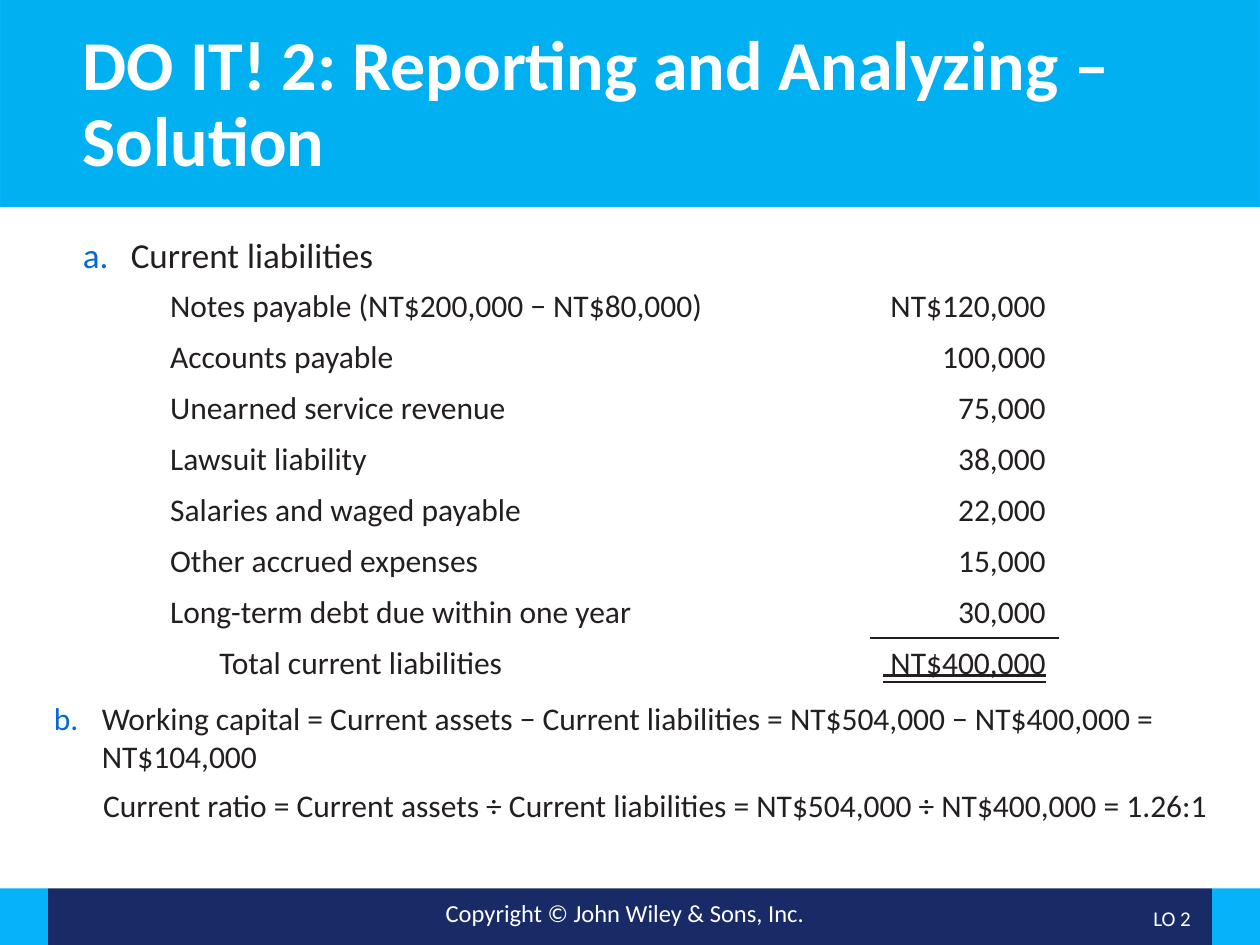
from dataclasses import dataclass
from lxml.etree import SubElement as Sub
from pptx import Presentation
from pptx.dml.color import RGBColor as Rgb
from pptx.enum.shapes import MSO_SHAPE as Shape
from pptx.enum.text import MSO_ANCHOR as Anchor, MSO_UNDERLINE as Under, PP_ALIGN as Align
from pptx.oxml import parse_xml
from pptx.oxml.ns import nsdecls, qn
from pptx.util import Inches, Pt


@dataclass(frozen=True)
class Theme:
    font: str = "Calibri"
    navy: str = "192B67"
    sky: str = "06B2FA"
    head: str = "00B0F0"
    ink: str = "231F20"
    mark: str = "0469D8"
    white: str = "FFFFFF"
    title: int = 40
    lead: int = 20
    body: int = 18
    foot: int = 14
    tag: int = 12


T = Theme()

TITLE = "DO IT! 2: Reporting and Analyzing – Solution"
LEAD = "Current liabilities"
ROWS = [
    ("Notes payable (NT$200,000 − NT$80,000)", "NT$120,000"),
    ("Accounts payable", "100,000"),
    ("Unearned service revenue", "75,000"),
    ("Lawsuit liability", "38,000"),
    ("Salaries and waged payable", "22,000"),
    ("Other accrued expenses", "15,000"),
    ("Long-term debt due within one year", "30,000"),
    ("Total current liabilities", " NT$400,000"),
]
RATIOS = [
    "Working capital = Current assets − Current liabilities"
    " = NT$504,000 − NT$400,000 = NT$104,000",
    "Current ratio = Current assets ÷ Current liabilities"
    " = NT$504,000 ÷ NT$400,000 = 1.26:1",
]
FOOT = "Copyright © John Wiley & Sons, Inc."
TAG = "LO 2"

EDGE = 0.38
BANDS = [
    (EDGE, 7.05, 10 - 2 * EDGE, 0.5, T.navy, None),
    (0, 7.05, EDGE, 0.5, T.sky, None),
    (10 - EDGE, 7.05, EDGE, 0.5, T.sky, None),
    (0, -0.01, 10, 1.65, T.head, T.sky),
]
COLS = (5.66, 1.49)
ROW_H = 0.405


def add_band(slide, x, y, w, h, fill, line):
    band = slide.shapes.add_shape(Shape.RECTANGLE, *map(Inches, (x, y, w, h)))
    band.shadow.inherit = False
    band.fill.solid()
    band.fill.fore_color.rgb = Rgb.from_string(fill)
    if line:
        band.line.color.rgb = Rgb.from_string(line)
        band.line.width = Pt(1)
    else:
        band.line.fill.background()


def style(para, size, color, align=Align.LEFT, bold=False):
    para.alignment = align
    for run in para.runs:
        font = run.font
        font.name, font.size, font.bold = T.font, Pt(size), bold
        font.color.rgb = Rgb.from_string(color)


def indent(para, left, first=0):
    props = para._p.get_or_add_pPr()
    props.set("marL", str(Inches(left)))
    props.set("indent", str(Inches(first)))
    return props


def letter(para, start):
    """Number the paragraph a., b., ... from the given start."""
    props = indent(para, EDGE, -EDGE)
    Sub(Sub(props, qn("a:buClr")), qn("a:srgbClr"), val=T.mark)
    Sub(props, qn("a:buFont"), typeface=T.font)
    Sub(props, qn("a:buAutoNum"), type="alphaLcPeriod", startAt=str(start))


def add_text(slide, box, lines, size, color, align=Align.LEFT,
             bold=False, anchor=Anchor.TOP, space=1.0, start=None):
    frame = slide.shapes.add_textbox(*map(Inches, box)).text_frame
    frame.word_wrap = True
    frame.vertical_anchor = anchor
    frame.text = "\n".join(lines)
    for i, para in enumerate(frame.paragraphs):
        if start and i == 0:
            letter(para, start)
        elif start:
            indent(para, 0.39)
        if i:
            para.space_before = Pt(6.2)
        para.line_spacing = space
        style(para, size, color, align, bold)


def rule(cell, side):
    cell._tc.get_or_add_tcPr().insert(0, parse_xml(
        f'<a:{side} {nsdecls("a")} w="12700"><a:solidFill>'
        f'<a:srgbClr val="{T.ink}"/></a:solidFill></a:{side}>'))


def add_sums(slide):
    size = sum(COLS), ROW_H * len(ROWS)
    table = slide.shapes.add_table(
        len(ROWS), len(COLS), *map(Inches, (1.25, 2.23, *size))).table
    table.first_row = table.horz_banding = False
    for col, width in zip(table.columns, COLS):
        col.width = Inches(width)
    for r, row in enumerate(ROWS):
        for c, (text, align) in enumerate(zip(row, (Align.LEFT, Align.RIGHT))):
            cell = table.cell(r, c)
            cell.text = text
            cell.fill.background()
            style(cell.text_frame.paragraphs[0], T.body, T.ink, align)
    last = len(ROWS) - 1
    indent(table.cell(last, 0).text_frame.paragraphs[0], 0, 0.39)
    total = table.cell(last, 1)
    total.text_frame.paragraphs[0].runs[0].font.underline = Under.DOUBLE_LINE
    rule(table.cell(last - 1, 1), "lnB")
    rule(total, "lnT")


def main():
    deck = Presentation()
    deck.slide_width, deck.slide_height = Inches(10), Inches(7.5)
    slide = deck.slides.add_slide(deck.slide_layouts[6])
    for band in BANDS:
        add_band(slide, *band)
    add_text(slide, (2.5, 7.08, 4.92, 0.34), [FOOT], T.foot, T.white, Align.CENTER)
    add_text(slide, (0.56, 0.24, 8.88, 1.2), [TITLE], T.title, T.white,
             bold=True, anchor=Anchor.MIDDLE, space=0.9)
    add_text(slide, (0.56, 1.84, 8.88, 0.44), [LEAD], T.lead, T.ink,
             space=0.9, start=1)
    add_sums(slide)
    add_text(slide, (0.33, 5.5, 9.47, 1.2), RATIOS, T.body, T.ink, start=2)
    add_text(slide, (8.73, 7.1, 0.82, 0.4), [TAG], T.tag, T.white, Align.RIGHT,
             anchor=Anchor.MIDDLE, space=0.9)
    deck.save("out.pptx")


if __name__ == "__main__":
    main()
